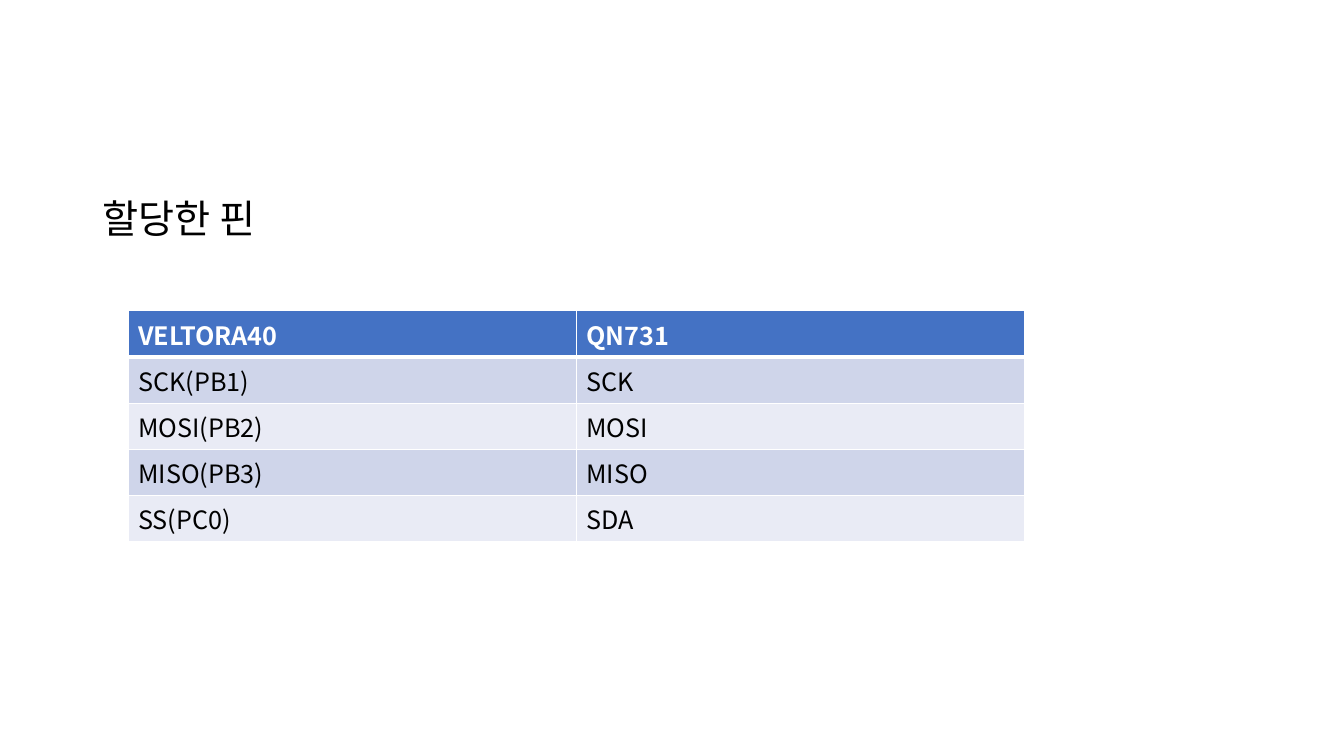
from lxml.etree import SubElement
from pptx import Presentation
from pptx.dml.color import RGBColor
from pptx.oxml.ns import qn
from pptx.util import Emu, Pt

FONT = "Noto Sans CJK KR"
BLACK, WHITE = "000000", "FFFFFF"
HEADER_FILL = "4472C4"
BAND_FILLS = ["E9EBF5", "CFD5EA"]
PINS = [
    ("VELTORA40", "QN731"),
    ("SCK(PB1)", "SCK"),
    ("MOSI(PB2)", "MOSI"),
    ("MISO(PB3)", "MISO"),
    ("SS(PC0)", "SDA"),
]


def px(n):
    return Emu(n * 9525)


def rgb(color):
    return RGBColor.from_string(color)


def add_run(p, text, size, color, bold=False):
    r = p.add_run()
    r.text = text
    r.font.size = Pt(size)
    r.font.bold = bold
    r.font.name = FONT
    r.font.color.rgb = rgb(color)
    SubElement(r.font._element, qn("a:ea"), typeface=FONT)


def add_heading(s, text, x, y, w, h):
    tf = s.shapes.add_textbox(px(x), px(y), px(w), px(h)).text_frame
    tf.word_wrap = True
    p = tf.paragraphs[0]
    p.line_spacing = 0.9
    p.space_before = Pt(10)
    add_run(p, text, 28, BLACK)


def set_borders(cell, **widths):
    """Draw white borders; widths in points are keyed by side: L, R, T, B."""
    tc_pr = cell._tc.get_or_add_tcPr()
    for side, width in widths.items():
        ln = SubElement(tc_pr, qn(f"a:ln{side}"), w=str(Pt(width)))
        SubElement(SubElement(ln, qn("a:solidFill")), qn("a:srgbClr"), val=WHITE)


def add_pin_table(s, rows, x, y, col_w, row_h):
    cols = len(rows[0])
    table = s.shapes.add_table(len(rows), cols, px(x), px(y),
                               px(col_w * cols), px(row_h * len(rows))).table
    for i, row in enumerate(rows):
        header = i == 0
        for j, text in enumerate(row):
            cell = table.cell(i, j)
            set_borders(cell, L=1, R=1, T=3 if i == 1 else 1, B=3 if header else 1)
            cell.fill.solid()
            cell.fill.fore_color.rgb = rgb(HEADER_FILL if header else BAND_FILLS[i % 2])
            add_run(cell.text_frame.paragraphs[0], text, 18,
                    WHITE if header else BLACK, bold=header)


def main():
    prs = Presentation()
    prs.slide_width, prs.slide_height = px(1280), px(720)
    s = prs.slides.add_slide(prs.slide_layouts[6])
    add_heading(s, "할당한 핀", 88, 185, 1104, 457)
    add_pin_table(s, PINS, x=122, y=296, col_w=427, row_h=44)
    prs.save("out.pptx")


if __name__ == "__main__":
    main()
